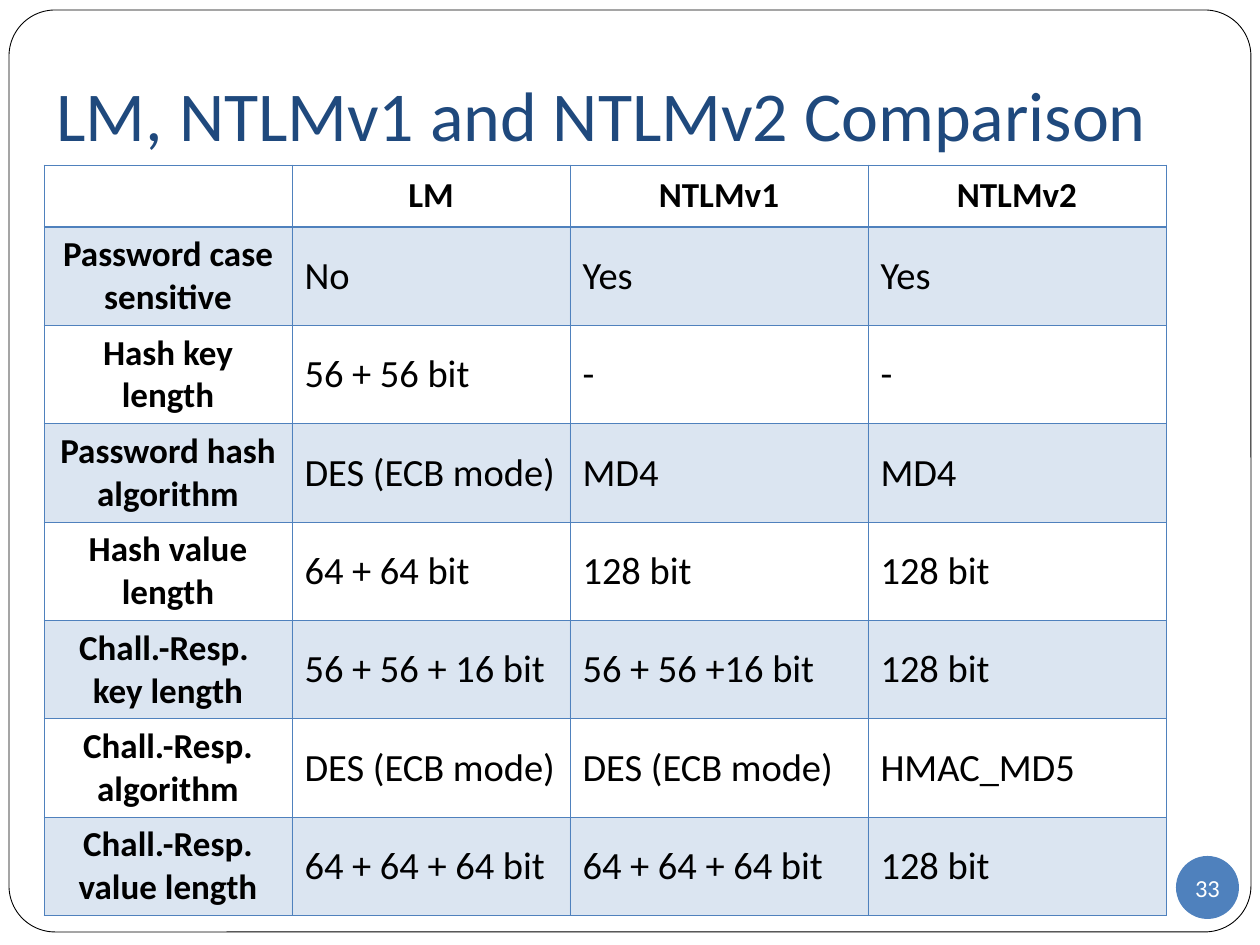
from typing import NamedTuple

from lxml.etree import SubElement
from pptx import Presentation
from pptx.dml.color import RGBColor
from pptx.enum.shapes import MSO_SHAPE as Shape
from pptx.enum.text import MSO_ANCHOR as Anchor, PP_ALIGN as Align
from pptx.oxml import parse_xml
from pptx.oxml.ns import nsdecls, qn
from pptx.util import Emu, Pt

PX = 914400 / 126
FONT = "Calibri"
BLUE = RGBColor(0x4F, 0x81, 0xBD)
NAVY = RGBColor(0x1F, 0x49, 0x7D)
BLACK = RGBColor(0, 0, 0)
WHITE = RGBColor(255, 255, 255)
THIN, THICK = Pt(0.45), Pt(0.96)


class Box(NamedTuple):
    left: int
    top: int
    width: int
    height: int


class Style(NamedTuple):
    size: int
    color: RGBColor
    align: Align
    bold: bool = False


TITLE = Style(40, NAVY, Align.LEFT)
HEAD = Style(20, BLACK, Align.CENTER, True)
BODY = Style(22, BLACK, Align.LEFT)
PAGE = Style(14, WHITE, Align.CENTER)

COLS = [248, 278, 298, 298]
HEAD_ROW, BODY_ROW = 62, 97
ROWS = [
    ("", "LM", "NTLMv1", "NTLMv2"),
    ("Password case sensitive", "No", "Yes", "Yes"),
    ("Hash key length", "56 + 56 bit", "-", "-"),
    ("Password hash algorithm", "DES (ECB mode)", "MD4", "MD4"),
    ("Hash value length", "64 + 64 bit", "128 bit", "128 bit"),
    ("Chall.-Resp. \nkey length", "56 + 56 + 16 bit", "56 + 56 +16 bit", "128 bit"),
    ("Chall.-Resp. algorithm", "DES (ECB mode)", "DES (ECB mode)", "HMAC_MD5"),
    ("Chall.-Resp. value length", "64 + 64 + 64 bit", "64 + 64 + 64 bit", "128 bit"),
]


def px(num: int) -> Emu:
    return Emu(round(num * PX))


def place(box: Box) -> list[Emu]:
    return [px(num) for num in box]


def write(frame, text: str, style: Style) -> None:
    para = frame.paragraphs[0]
    para.text = text
    para.alignment = style.align
    font = para.font
    font.name, font.size, font.bold = FONT, Pt(style.size), style.bold
    font.color.rgb = style.color


def add_shape(slide, kind: Shape, box: Box, fill: RGBColor):
    shape = slide.shapes.add_shape(kind, *place(box))
    shape.shadow.inherit = False
    shape.fill.solid()
    shape.fill.fore_color.rgb = fill
    return shape


def set_edges(cell, top: int, bottom: int) -> None:
    props = cell._tc.get_or_add_tcPr()
    edges = [("lnL", THIN), ("lnR", THIN), ("lnT", top), ("lnB", bottom)]
    for pos, (tag, width) in enumerate(edges):
        props.insert(pos, parse_xml(
            f'<a:{tag} {nsdecls("a")} w="{width}"><a:solidFill>'
            f'<a:srgbClr val="{BLUE}"/></a:solidFill></a:{tag}>'))


def shade(cell, band: bool) -> None:
    if not band:
        cell.fill.background()
        return
    cell.fill.solid()
    cell.fill.fore_color.rgb = BLUE
    color = cell._tc.tcPr.find(f".//{qn('a:srgbClr')}")
    SubElement(color, qn("a:alpha")).set("val", "20000")


def add_grid(slide, left: int, top: int) -> None:
    high = HEAD_ROW + BODY_ROW * (len(ROWS) - 1)
    box = Box(left, top, sum(COLS), high)
    table = slide.shapes.add_table(len(ROWS), len(COLS), *place(box)).table
    table.first_row = table.horz_banding = False
    for col, width in zip(table.columns, COLS):
        col.width = px(width)
    for r, texts in enumerate(ROWS):
        table.rows[r].height = px(BODY_ROW if r else HEAD_ROW)
        for c, text in enumerate(texts):
            cell = table.cell(r, c)
            cell.vertical_anchor = Anchor.MIDDLE
            write(cell.text_frame, text, BODY if r and c else HEAD)
            shade(cell, r % 2 == 1)
            set_edges(cell, THICK if r == 1 else THIN, THIN if r else THICK)


def main() -> None:
    deck = Presentation()
    deck.slide_width, deck.slide_height = px(1260), px(945)
    slide = deck.slides.add_slide(deck.slide_layouts[5])

    # Rounded page frame, behind everything
    frame = add_shape(slide, Shape.ROUNDED_RECTANGLE, Box(9, 10, 1242, 922), WHITE)
    frame.adjustments[0] = 0.05
    frame.line.color.rgb = BLACK
    frame.line.width = Pt(0.5)
    slide.shapes._spTree.insert(2, frame._element)

    # Title
    title = slide.shapes.title
    title.left, title.top, title.width, title.height = place(Box(44, 38, 1181, 157))
    title.text_frame.vertical_anchor = Anchor.MIDDLE
    title.text_frame.margin_bottom = px(13)
    write(title.text_frame, "LM, NTLMv1 and NTLMv2 Comparison", TITLE)

    # Page number badge
    badge = add_shape(slide, Shape.OVAL, Box(1176, 856, 63, 63), BLUE)
    badge.line.fill.background()
    text = badge.text_frame
    text.margin_left = text.margin_right = text.margin_top = text.margin_bottom = 0
    text.word_wrap = False
    text.vertical_anchor = Anchor.MIDDLE
    write(text, "33", PAGE)

    # Comparison table
    add_grid(slide, 44, 165)
    deck.save("out.pptx")


if __name__ == "__main__":
    main()
